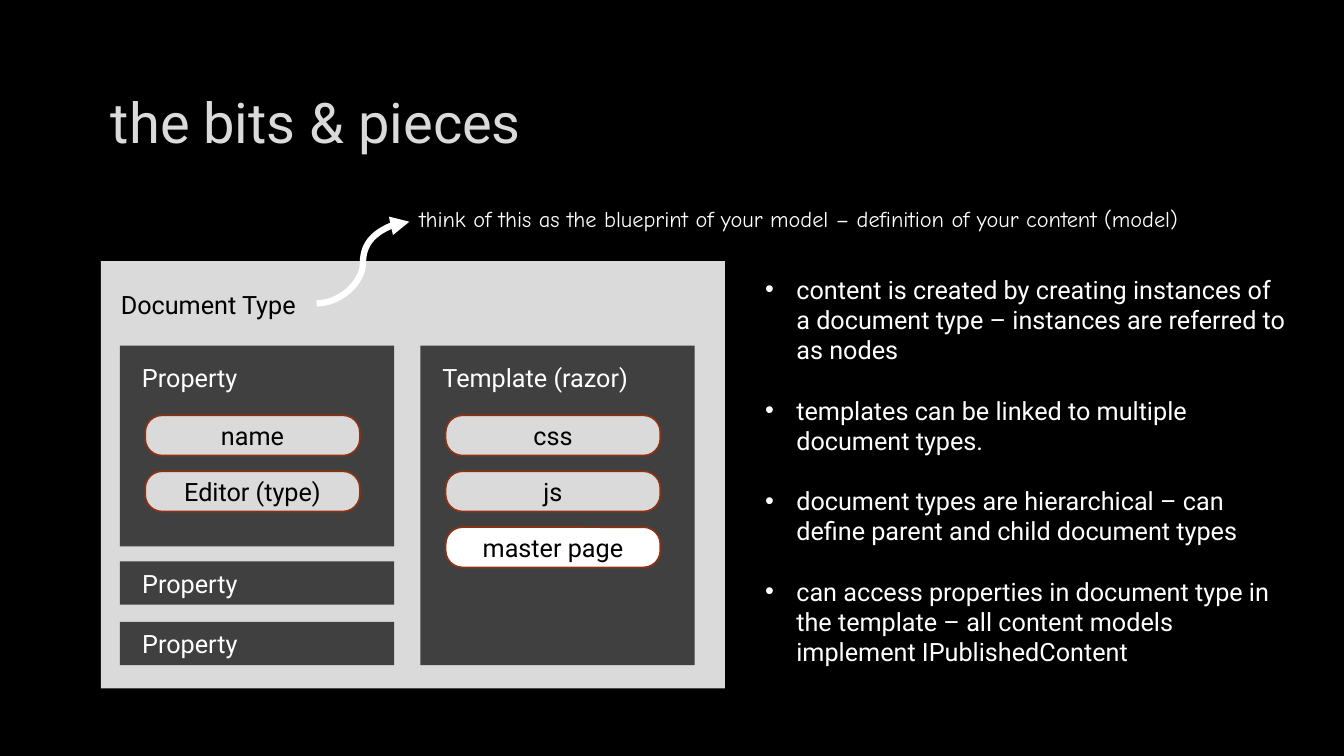
from dataclasses import dataclass
from lxml.etree import SubElement
from pptx import Presentation
from pptx.dml.color import RGBColor
from pptx.enum.shapes import MSO_CONNECTOR, MSO_SHAPE
from pptx.enum.text import MSO_ANCHOR, MSO_AUTO_SIZE, PP_ALIGN
from pptx.oxml.ns import qn
from pptx.util import Inches, Pt


@dataclass(frozen=True)
class Theme:
    black: str = "000000"
    white: str = "FFFFFF"
    light: str = "DADADA"
    dark: str = "404040"
    rust: str = "8B3314"
    font: str = "Roboto"
    note_font: str = "Comic Neue"
    title_size: int = 40
    body_size: int = 18
    note_size: int = 16


T = Theme()
TITLE = "the bits & pieces"
NOTE = "think of this as the blueprint of your model – definition of your content (model)"
FRAME_LABEL = "Document Type"
CARDS = [
    {"label": "Property", "left": 1.19, "height": 1.99,
     "pills": [("name", T.light), ("Editor (type)", T.light)]},
    {"label": "Template (razor)", "left": 4.17, "height": 3.17,
     "pills": [("css", T.light), ("js", T.light), ("master page", T.white)]},
]
BARS = ["Property", "Property"]
POINTS = [
    "content is created by creating instances of a document type – instances are referred to as nodes",
    "templates can be linked to multiple document types.",
    "document types are hierarchical – can define parent and child document types",
    "can access properties in document type in the template – all content models implement IPublishedContent",
]
CARD_TOP, CARD_WIDTH = 3.43, 2.72
LABEL_DX, LABEL_DY = 0.12, 0.12
PILL_DX, PILL_DY, PILL_STEP = 0.25, 0.69, 0.555
PILL_WIDTH, PILL_HEIGHT = 2.13, 0.4
BAR_TOP, BAR_STEP, BAR_HEIGHT = 5.57, 0.6, 0.43


def rgb(color):
    return RGBColor.from_string(color)


def style(tf, color, size=T.body_size, font=T.font, align=PP_ALIGN.LEFT):
    for p in tf.paragraphs:
        p.alignment = align
        for r in p.runs:
            r.font.name, r.font.size = font, Pt(size)
            r.font.color.rgb = rgb(color)


def add_box(s, kind, left, top, width, height, fill, line=None):
    sp = s.shapes.add_shape(kind, Inches(left), Inches(top), Inches(width), Inches(height))
    sp.shadow.inherit = False
    sp.fill.solid()
    sp.fill.fore_color.rgb = rgb(fill)
    if line:
        sp.line.color.rgb, sp.line.width = rgb(line), Pt(1.25)
    else:
        sp.line.fill.background()
    return sp


def add_text(s, text, left, top, width, height, color, **look):
    tf = s.shapes.add_textbox(Inches(left), Inches(top), Inches(width), Inches(height)).text_frame
    tf.word_wrap = True
    tf.text = text
    style(tf, color, **look)
    return tf


def add_title(s):
    sp = s.shapes.title
    sp.left, sp.top, sp.width, sp.height = map(Inches, (1, 0.67, 11.32, 1.06))
    tf = sp.text_frame
    tf.text = TITLE
    tf.auto_size, tf.vertical_anchor = MSO_AUTO_SIZE.NONE, MSO_ANCHOR.MIDDLE
    style(tf, T.light, T.title_size)


def add_card(s, card):
    left = card["left"]
    add_box(s, MSO_SHAPE.RECTANGLE, left, CARD_TOP, CARD_WIDTH, card["height"], T.dark)
    add_text(s, card["label"], left + LABEL_DX, CARD_TOP + LABEL_DY, 2.49, 0.4, T.white)
    for i, (text, fill) in enumerate(card["pills"]):
        sp = add_box(s, MSO_SHAPE.ROUNDED_RECTANGLE, left + PILL_DX,
                     CARD_TOP + PILL_DY + i * PILL_STEP, PILL_WIDTH, PILL_HEIGHT, fill, T.rust)
        sp.adjustments[0] = 0.42
        sp.text_frame.text = text
        style(sp.text_frame, T.black, align=PP_ALIGN.CENTER)


def add_bar(s, text, i):
    sp = add_box(s, MSO_SHAPE.RECTANGLE, CARDS[0]["left"], BAR_TOP + i * BAR_STEP,
                 CARD_WIDTH, BAR_HEIGHT, T.dark)
    tf = sp.text_frame
    tf.margin_left = Inches(0.22)
    tf.text = text
    style(tf, T.white)


def add_curve(s):
    cx = s.shapes.add_connector(MSO_CONNECTOR.CURVE, Inches(3.14), Inches(3.01),
                                Inches(4.06), Inches(2.2))
    cx.line.color.rgb, cx.line.width = rgb(T.white), Pt(4.5)
    SubElement(cx.line._get_or_add_ln(), qn("a:tailEnd"), type="triangle")
    SubElement(cx._element.spPr, qn("a:effectLst"))


def add_points(s):
    tf = add_text(s, "\n".join(POINTS), 7.49, 2.67, 5.41, 4.16, T.white)
    indent = Inches(0.31)
    for p in tf.paragraphs:
        p.space_after = Pt(21.5)
        pPr = p._p.get_or_add_pPr()
        pPr.set("marL", str(indent))
        pPr.set("indent", str(-indent))
        SubElement(pPr, qn("a:buFont"), typeface="Arial")
        SubElement(pPr, qn("a:buChar"), char="•")


def main():
    """Build the slide and save it."""
    prs = Presentation()
    prs.slide_width, prs.slide_height = Inches(13.33), Inches(7.5)
    s = prs.slides.add_slide(prs.slide_layouts[5])
    s.background.fill.solid()
    s.background.fill.fore_color.rgb = rgb(T.black)
    add_title(s)
    add_box(s, MSO_SHAPE.RECTANGLE, 1, 2.59, 6.19, 4.24, T.light)
    add_text(s, FRAME_LABEL, 1.1, 2.82, 1.94, 0.4, T.black)
    for card in CARDS:
        add_card(s, card)
    for i, text in enumerate(BARS):
        add_bar(s, text, i)
    add_curve(s)
    add_text(s, NOTE, 4.06, 1.99, 8.65, 0.37, T.white, size=T.note_size, font=T.note_font)
    add_points(s)
    prs.save("out.pptx")


if __name__ == "__main__":
    main()
